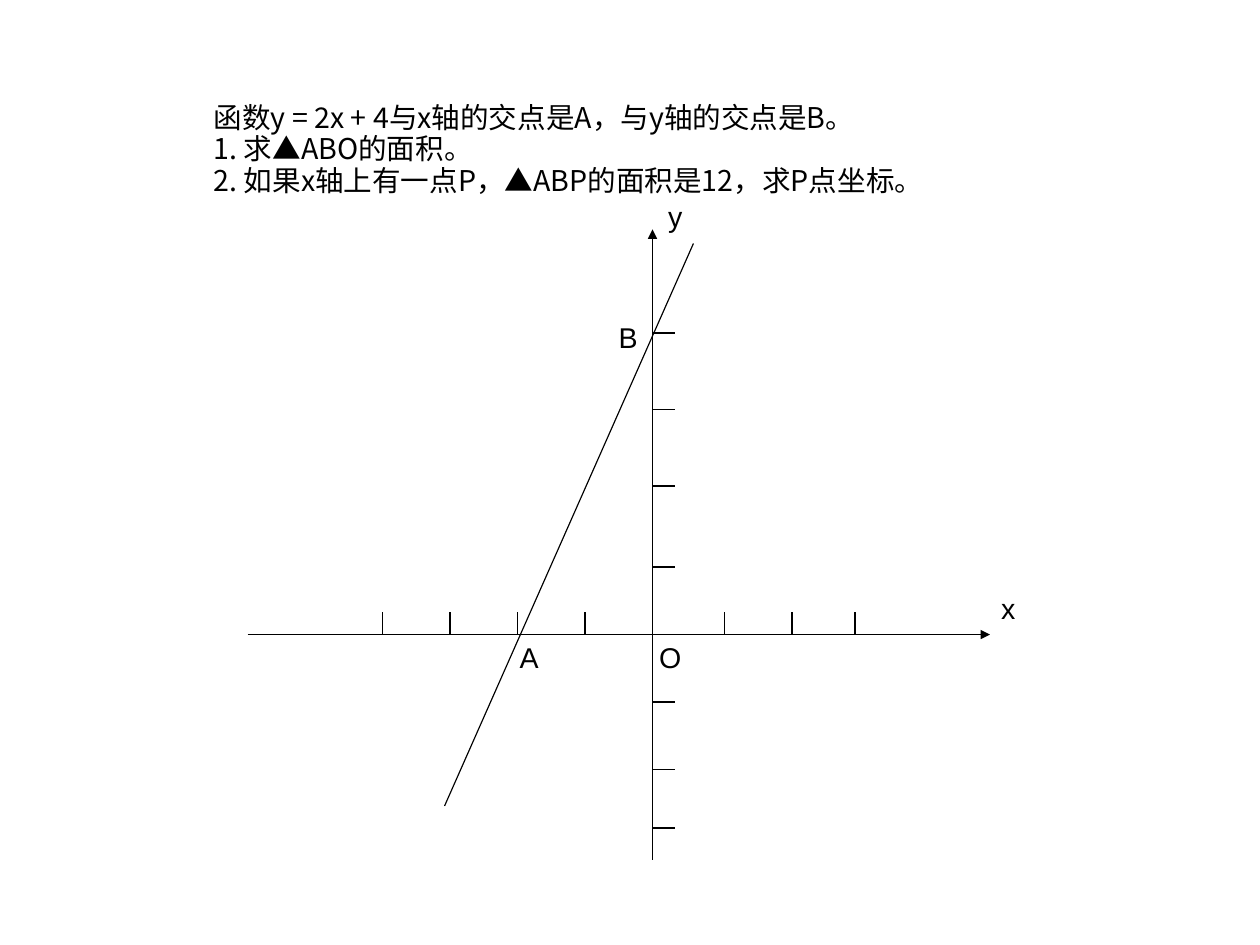
from pptx import Presentation
from pptx import util as u
from pptx.dml.color import RGBColor
from pptx.enum import shapes, text
from pptx.oxml.ns import qn
from lxml import etree

Cm, Pt = u.Cm, u.Pt
COLORS = {"ink": "000000", "paper": "FFFFFF"}
PROBLEM = [
    "函数y = 2x + 4与x轴的交点是A，与y轴的交点是B。",
    "1. 求▲ABO的面积。",
    "2. 如果x轴上有一点P，▲ABP的面积是12，求P点坐标。",
]
X_TICKS = [-6, -4.5, -3, -1.5, 1.6, 3.1, 4.5]
Y_TICKS = [-6.7, -5, -3.3, -1.5, 1.5, 3, 4.3]
TICK = 0.5
LABELS = [
    ("x", 7.5, -1.07, 0.81),
    ("y", 0.1, -9.8, 0.81),
    ("O", -0.1, 0, 1),
    ("A", -3.2, 0, 0.91),
    ("B", -1, -7.1, 0.91),
]


def add_text(s, lines, x, y, w, h, font="Arial", size=18, color="ink", wrap=False):
    tf = s.shapes.add_textbox(Cm(x), Cm(y), Cm(w), Cm(h)).text_frame
    tf.word_wrap = wrap
    tf.auto_size = text.MSO_AUTO_SIZE.NONE
    tf.margin_left = tf.margin_right = Cm(0.25)
    tf.margin_top, tf.margin_bottom = Cm(0.18), Cm(0.13)
    for i, line in enumerate(lines):
        p = tf.add_paragraph() if i else tf.paragraphs[0]
        p.line_spacing = 0.93
        r = p.add_run()
        r.text = line
        r.font.name, r.font.size = font, Pt(size)
        r.font.color.rgb = RGBColor.from_string(COLORS[color])
        etree.SubElement(r.font._element, qn("a:ea"), typeface=font)


def add_line(s, x1, y1, x2, y2, arrow=False):
    c = s.shapes.add_connector(shapes.MSO_CONNECTOR.STRAIGHT, Cm(x1), Cm(y1), Cm(x2), Cm(y2))
    c.line.width = Pt(0.75)
    c.line.color.rgb = RGBColor.from_string(COLORS["ink"])
    if arrow:
        etree.SubElement(c.line._get_or_add_ln(), qn("a:tailEnd"), type="triangle")
    etree.SubElement(c._element.spPr, qn("a:effectLst"))


def add_problem(s, x, y, w, h):
    add_text(s, PROBLEM, x, y, w, h, font="Noto Sans CJK SC", wrap=True)


def add_graph(s, x, y, w, h):
    ox, oy = x + 9, y + 9
    add_line(s, ox, y + h, ox, y, arrow=True)
    add_line(s, x, oy, x + w, oy, arrow=True)
    for d in Y_TICKS:
        add_line(s, ox, oy + d, ox + TICK, oy + d)
    for d in X_TICKS:
        add_line(s, ox + d, oy, ox + d, oy - TICK)
    add_line(s, ox + 0.91, oy - 8.69, ox - 4.62, oy + 3.81)
    for name, dx, dy, width in LABELS:
        add_text(s, [name], ox + dx, oy + dy, width, 0.97)


def main():
    prs = Presentation()
    prs.slide_width, prs.slide_height = Cm(28), Cm(21)
    s = prs.slides.add_slide(prs.slide_layouts[6])
    s.background.fill.solid()
    s.background.fill.fore_color.rgb = RGBColor.from_string(COLORS["paper"])
    add_problem(s, 4.5, 2.1, 20.93, 2.39)
    add_graph(s, 5.5, 5.1, 16.5, 14)
    prs.save("out.pptx")


if __name__ == "__main__":
    main()
